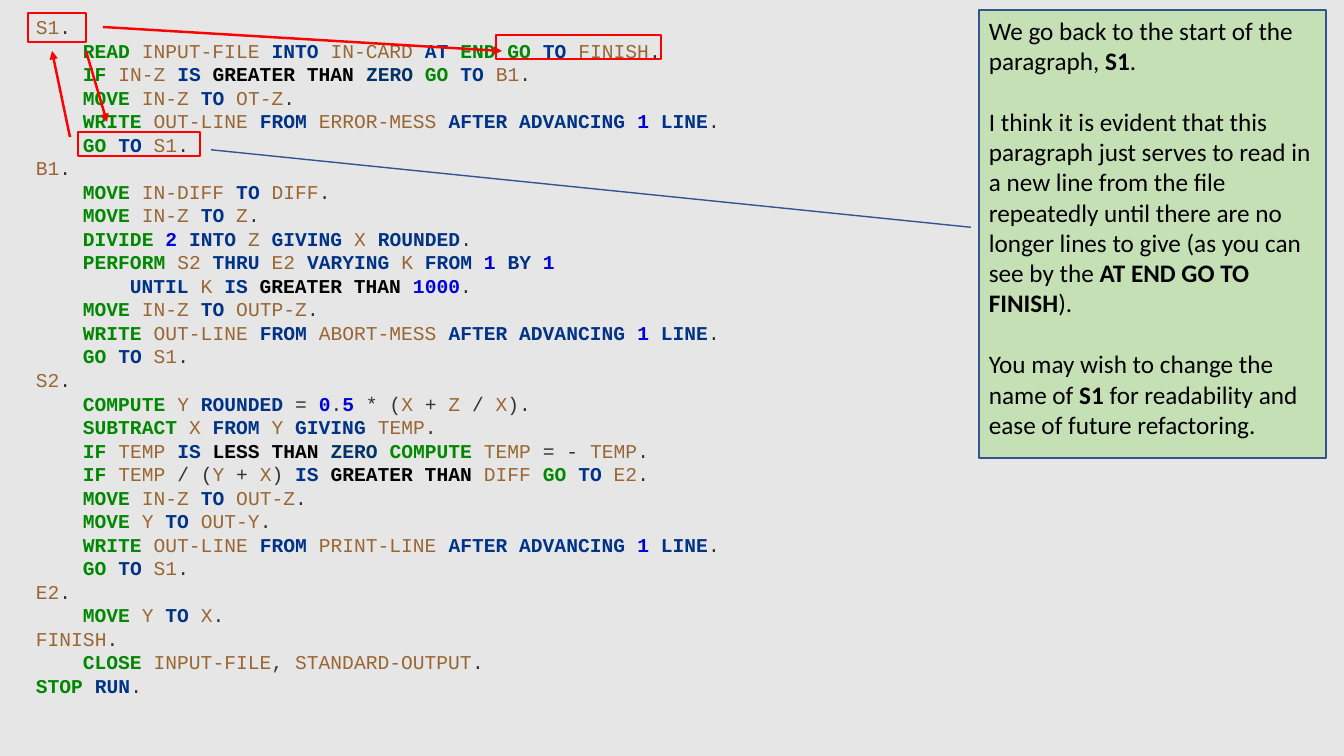
from dataclasses import dataclass
from itertools import groupby

from lxml.etree import SubElement
from pptx import Presentation
from pptx.dml.color import RGBColor
from pptx.enum.shapes import MSO_CONNECTOR, MSO_SHAPE
from pptx.enum.text import MSO_ANCHOR, MSO_AUTO_SIZE, PP_ALIGN
from pptx.oxml.ns import qn
from pptx.util import Pt

SCALE = 914400 / 100.8
INDENT = 47


@dataclass(frozen=True)
class Theme:
    back: str = "E7E6E6"
    verb: str = "008800"
    key: str = "003388"
    test: str = "000000"
    zero: str = "003366"
    digit: str = "0000DD"
    name: str = "996633"
    sign: str = "333333"
    mark: str = "FF0000"
    fill: str = "C5E0B4"
    edge: str = "325491"
    ink: str = "000000"
    mono: str = "Courier New"
    sans: str = "Calibri"
    code: float = 14
    pitch: float = 16.8
    note: float = 18
    gap: float = 22
    thick: float = 1.75
    thin: float = 1


THEME = Theme()

VERBS = set("READ END GO IF MOVE WRITE DIVIDE PERFORM COMPUTE SUBTRACT CLOSE STOP".split())
KEYS = set("INTO AT TO IS FROM AFTER ADVANCING LINE GIVING ROUNDED THRU VARYING BY UNTIL RUN".split())
TESTS = set("GREATER LESS THAN".split())

# One string for each group of paragraphs in the program.
CODE = ["""\
S1.
    READ INPUT-FILE INTO IN-CARD AT END GO TO FINISH.
    IF IN-Z IS GREATER THAN ZERO GO TO B1.
    MOVE IN-Z TO OT-Z.
    WRITE OUT-LINE FROM ERROR-MESS AFTER ADVANCING 1 LINE.
    GO TO S1.""", """\
B1.
    MOVE IN-DIFF TO DIFF.
    MOVE IN-Z TO Z.
    DIVIDE 2 INTO Z GIVING X ROUNDED.
    PERFORM S2 THRU E2 VARYING K FROM 1 BY 1
        UNTIL K IS GREATER THAN 1000.
    MOVE IN-Z TO OUTP-Z.
    WRITE OUT-LINE FROM ABORT-MESS AFTER ADVANCING 1 LINE.
    GO TO S1.""", """\
S2.
    COMPUTE Y ROUNDED = 0.5 * (X + Z / X).
    SUBTRACT X FROM Y GIVING TEMP.
    IF TEMP IS LESS THAN ZERO COMPUTE TEMP = - TEMP.
    IF TEMP / (Y + X) IS GREATER THAN DIFF GO TO E2.
    MOVE IN-Z TO OUT-Z.
    MOVE Y TO OUT-Y.
    WRITE OUT-LINE FROM PRINT-LINE AFTER ADVANCING 1 LINE.
    GO TO S1.""", """\
E2.
    MOVE Y TO X.
FINISH.
    CLOSE INPUT-FILE, STANDARD-OUTPUT.
STOP RUN."""]

# Each paragraph alternates plain and bold text.
NOTE = [
    ["We go back to the start of the paragraph, ", "S1", "."],
    ["I think it is evident that this paragraph just serves to read in a new line "
     "from the file repeatedly until there are no longer lines to give (as you can "
     "see by the ", "AT END GO TO FINISH", ")."],
    ["You may wish to change the name of ", "S1",
     " for readability and ease of future refactoring."],
]


def px(*sizes):
    return [round(size * SCALE) for size in sizes]


def rgb(code):
    return RGBColor.from_string(code)


def add_run(para, text, font, size, color, bold):
    run = para.add_run()
    run.text = text
    run.font.name = font
    run.font.size = Pt(size)
    run.font.color.rgb = rgb(color)
    run.font.bold = bold


def style(word):
    """Return the colour and weight that a code word takes."""
    if word in VERBS:
        return THEME.verb, True
    if word in KEYS:
        return THEME.key, True
    if word in TESTS:
        return THEME.test, True
    if word == "ZERO":
        return THEME.zero, True
    if word.isdigit():
        return THEME.digit, True
    return (THEME.name if word[0].isalpha() else THEME.sign), False


def kind(char):
    return "space" if char == " " else "word" if char.isalnum() or char == "-" else "sign"


def tokens(line):
    """Yield (style, text) runs; a space joins the word before it."""
    parts = []
    for sort, chars in groupby(line, kind):
        text = "".join(chars)
        parts.append((parts[-1][0] if sort == "space" else style(text), text))
    for look, group in groupby(parts, lambda part: part[0]):
        yield look, "".join(text for _, text in group)


def paras(frame, items):
    """Yield each item with its own paragraph in the frame."""
    for i, item in enumerate(items):
        yield (frame.add_paragraph() if i else frame.paragraphs[0]), item


def add_code(slide, *box):
    frame = slide.shapes.add_textbox(*px(*box)).text_frame
    frame.word_wrap = True
    frame.auto_size = MSO_AUTO_SIZE.SHAPE_TO_FIT_TEXT
    for para, line in paras(frame, "\n".join(CODE).splitlines()):
        text = line.lstrip()
        depth = (len(line) - len(text)) // 4
        props = para._p.get_or_add_pPr()
        props.set("marL", str(px(depth * INDENT)[0]))
        props.set("indent", "0")
        para.line_spacing = Pt(THEME.pitch)
        for (color, bold), part in tokens(text):
            add_run(para, part, THEME.mono, THEME.code, color, bold)


def add_frame(slide, *box):
    shape = slide.shapes.add_shape(MSO_SHAPE.RECTANGLE, *px(*box))
    shape.shadow.inherit = False
    shape.fill.background()
    shape.line.color.rgb = rgb(THEME.mark)
    shape.line.width = Pt(THEME.thick)


def add_arrow(slide, *ends):
    arrow = slide.shapes.add_connector(MSO_CONNECTOR.STRAIGHT, *px(*ends))
    arrow.line.color.rgb = rgb(THEME.mark)
    arrow.line.width = Pt(THEME.thick)
    SubElement(arrow.line._get_or_add_ln(), qn("a:tailEnd"), type="triangle")
    SubElement(arrow._element.spPr, qn("a:effectLst"))


def add_note(slide, *box):
    shape = slide.shapes.add_shape(MSO_SHAPE.LINE_CALLOUT_1, *px(*box))
    shape.shadow.inherit = False
    for i, value in enumerate((0.485, -0.023, 0.312, -2.213)):
        shape.adjustments[i] = value
    shape.fill.solid()
    shape.fill.fore_color.rgb = rgb(THEME.fill)
    shape.line.color.rgb = rgb(THEME.edge)
    shape.line.width = Pt(THEME.thin)
    frame = shape.text_frame
    frame.word_wrap = True
    frame.vertical_anchor = MSO_ANCHOR.TOP
    for para, parts in paras(frame, NOTE):
        para.alignment = PP_ALIGN.LEFT
        para.space_before = Pt(0 if parts is NOTE[0] else THEME.gap)
        for i, text in enumerate(parts):
            add_run(para, text, THEME.sans, THEME.note, THEME.ink, i % 2 == 1)


def main():
    deck = Presentation()
    deck.slide_width, deck.slide_height = px(1344, 756)
    slide = deck.slides.add_slide(deck.slide_layouts[6])
    slide.background.fill.solid()
    slide.background.fill.fore_color.rgb = rgb(THEME.back)

    add_code(slide, 26, 10, 904, 703)
    add_frame(slide, 78, 132, 122, 24)
    add_note(slide, 979, 10, 347, 448)
    add_arrow(slide, 70, 137, 52, 51)
    add_arrow(slide, 86, 51, 107, 122)
    add_frame(slide, 28, 13, 58, 29)
    add_arrow(slide, 103, 27, 502, 51)
    add_frame(slide, 496, 35, 165, 24)
    deck.save("out.pptx")


if __name__ == "__main__":
    main()
